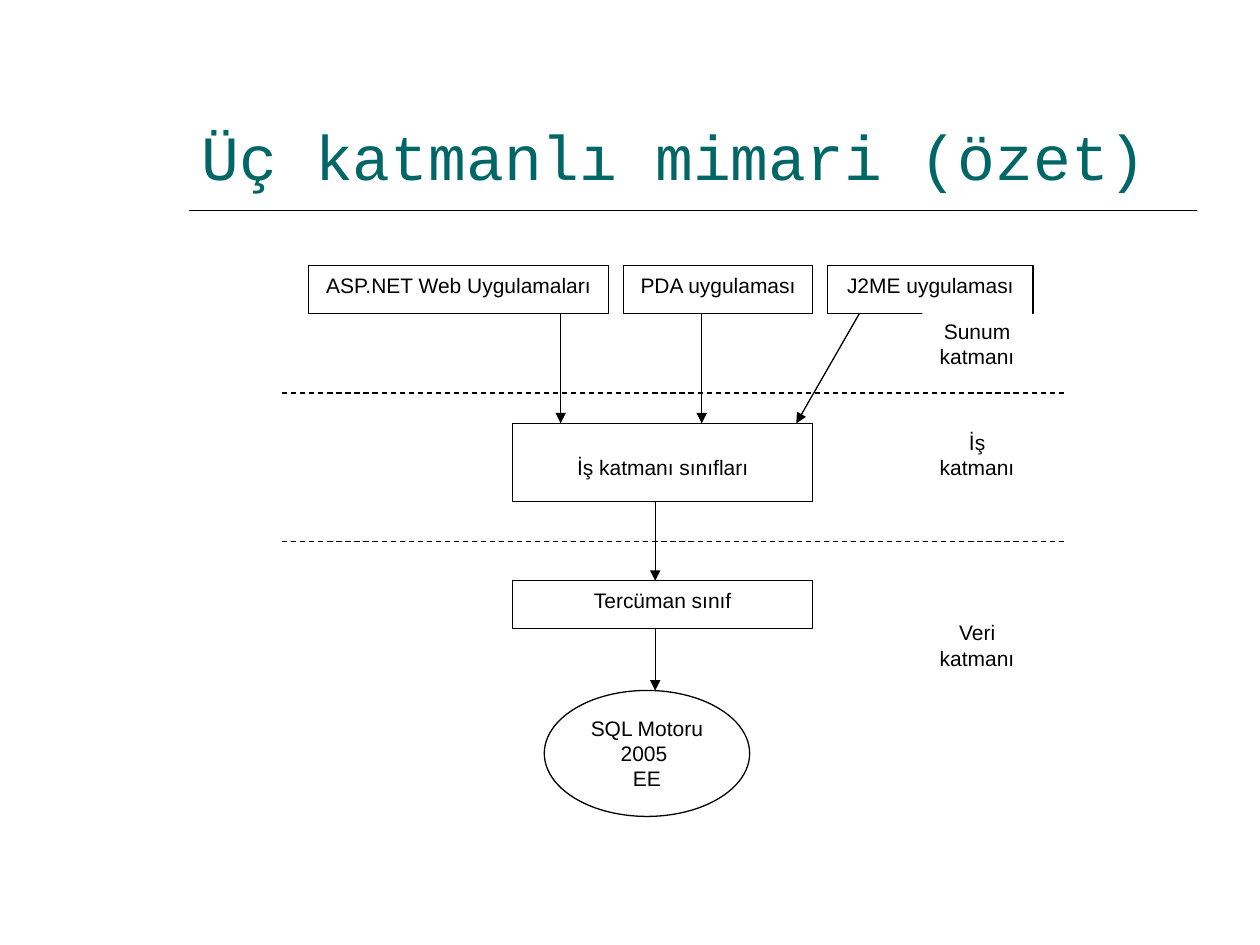
"""Build the slide that sums up a three-tier architecture."""
from pptx import Presentation
from pptx.dml.color import RGBColor as Rgb
from pptx.enum.dml import MSO_LINE as Dash
from pptx.enum.shapes import MSO_CONNECTOR as Conn, MSO_SHAPE as Kind
from pptx.enum.text import MSO_ANCHOR as Anchor, MSO_AUTO_SIZE as Fit, PP_ALIGN as Align
from pptx.oxml.ns import qn
from pptx.util import Inches, Pt
from lxml.etree import SubElement as Sub

THEME = {
    "title": ("Courier New", 36, Rgb(0, 0x66, 0x66)),
    "body": ("Arial", 12, Rgb(0, 0, 0)),
    "line": Rgb(0, 0, 0),
    "fill": Rgb(255, 255, 255),
}
TITLE = "Üç katmanlı mimari (özet)"
TOP, HIGH, GAP, LEFT = 2.11, 0.38, 0.12, 2.45
APPS = [("ASP.NET Web Uygulamaları", 2.38), ("PDA uygulaması", 1.5), ("J2ME uygulaması", 1.63)]
STEPS = [
    ("İş katmanı sınıfları", Kind.RECTANGLE, (4.07, 3.36, 2.38, 0.62), 0.25),
    ("Tercüman sınıf", Kind.RECTANGLE, (4.07, 4.61, 2.38, HIGH), 0.05),
    ("SQL Motoru 2005 \nEE", Kind.OVAL, (4.32, 5.48, 1.63, 1), 0.05),
]
TIERS = [("Sunum katmanı", 2.48, 0.52), ("İş\nkatmanı", 3.36, 0.61), ("Veri katmanı", 4.87, 0.49)]
TIER_X, TIER_W = 7.32, 0.87
ARROWS = [
    (4.45, 2.49, 4.45, 3.36), (5.57, 2.49, 5.57, 3.36), (6.82, 2.49, 6.32, 3.36),
    (5.2, 3.98, 5.2, 4.61), (5.2, 4.99, 5.2, 5.48),
]
RULE = (1.5, 1.67, 9.5, 1.67)
SPLITS = [3.12, 4.3]
SPLIT_X = (2.24, 8.47)


def write(shape, text, style, align, anchor=Anchor.TOP, top=0.05):
    frame = shape.text_frame
    frame.text = text
    frame.word_wrap = True
    frame.auto_size = Fit.NONE
    frame.vertical_anchor = anchor
    frame.margin_left = frame.margin_right = Inches(0.1)
    frame.margin_top, frame.margin_bottom = Inches(top), Inches(0.05)
    name, size, color = THEME[style]
    for para in frame.paragraphs:
        para.alignment = align
        for run in para.runs:
            run.font.name, run.font.size = name, Pt(size)
            run.font.color.rgb = color


def add_box(slide, text, kind, spot, top=0.05, edge=True):
    box = slide.shapes.add_shape(kind, *map(Inches, spot))
    box.shadow.inherit = False
    box.fill.solid()
    box.fill.fore_color.rgb = THEME["fill"]
    if edge:
        box.line.color.rgb = THEME["line"]
        box.line.width = Pt(0.75)
    else:
        box.line.fill.background()
    write(box, text, "body", Align.CENTER, top=top)


def add_line(slide, ends, width=0.75, dash=None, arrow=False):
    line = slide.shapes.add_connector(Conn.STRAIGHT, *map(Inches, ends))
    line.line.color.rgb = THEME["line"]
    line.line.width = Pt(width)
    if dash:
        line.line.dash_style = dash
    if arrow:
        Sub(line.line._get_or_add_ln(), qn("a:tailEnd"), type="triangle")
    Sub(line._element.spPr, qn("a:effectLst"))


def main():
    deck = Presentation()
    deck.slide_width, deck.slide_height = Inches(10), Inches(7.5)
    slide = deck.slides.add_slide(deck.slide_layouts[5])

    title = slide.shapes.title
    title.left, title.top = Inches(1.5), Inches(0.33)
    title.width, title.height = Inches(8), Inches(1.25)
    write(title, TITLE, "title", Align.LEFT, Anchor.BOTTOM)
    add_line(slide, RULE, width=1)

    left = LEFT
    for text, wide in APPS:
        add_box(slide, text, Kind.RECTANGLE, (left, TOP, wide, HIGH))
        left += wide + GAP
    for text, kind, spot, top in STEPS:
        add_box(slide, text, kind, spot, top)
    for text, top, high in TIERS:
        add_box(slide, text, Kind.RECTANGLE, (TIER_X, top, TIER_W, high), edge=False)
    for ends in ARROWS:
        add_line(slide, ends, arrow=True)
    for y in SPLITS:
        add_line(slide, (SPLIT_X[0], y, SPLIT_X[1], y), dash=Dash.DASH)

    deck.save("out.pptx")


if __name__ == "__main__":
    main()
